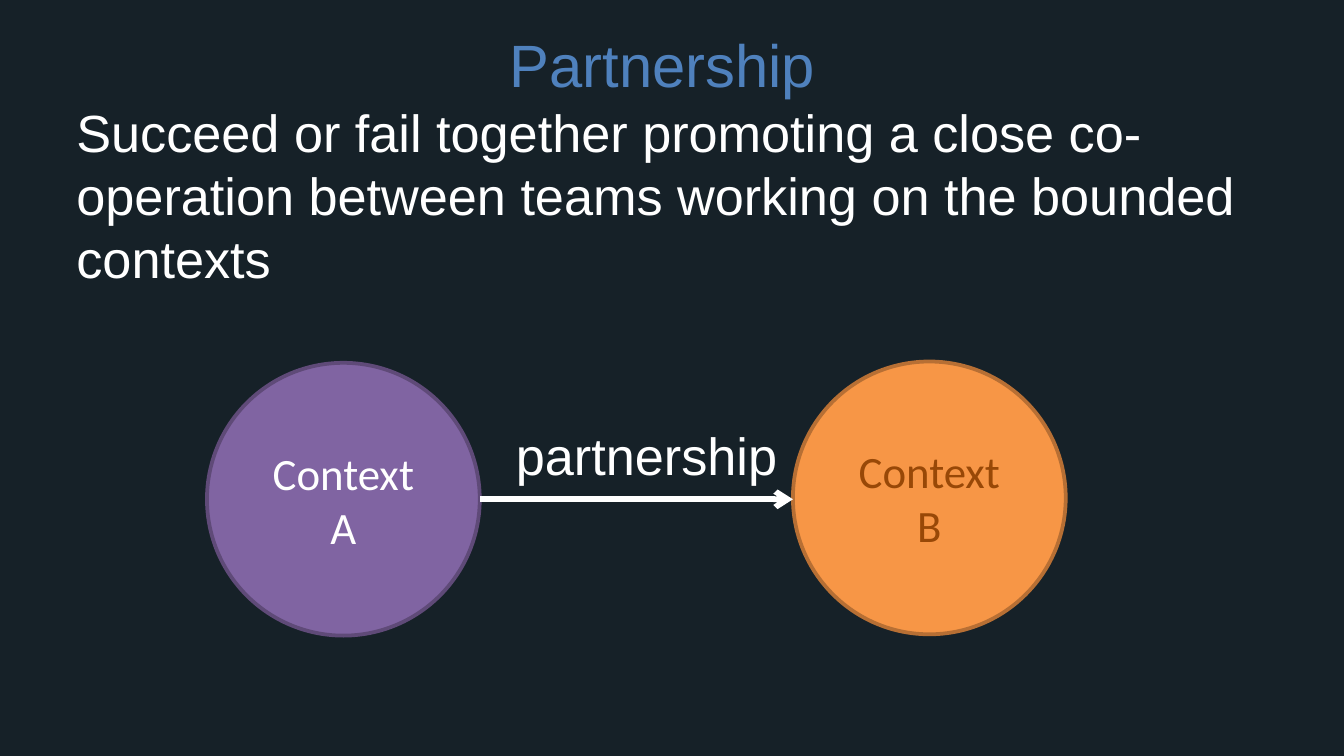
"""Build the Partnership context-mapping slide."""

from dataclasses import dataclass

from lxml.etree import SubElement
from pptx import Presentation
from pptx.dml.color import RGBColor
from pptx.enum.shapes import MSO_CONNECTOR as Connector, MSO_SHAPE as Shape
from pptx.enum.text import MSO_ANCHOR as Anchor, PP_ALIGN as Align
from pptx.oxml.ns import qn
from pptx.slide import Slide
from pptx.text.text import TextFrame
from pptx.util import Inches, Pt


@dataclass(frozen=True)
class Theme:
    """Colours, fonts and type sizes of the slide."""

    background: str = "162128"
    accent: str = "4F81BD"
    light: str = "FFFFFF"
    font: str = "Arial"
    context_font: str = "Calibri"
    title_size: int = 32
    body_size: int = 28
    context_size: int = 24


@dataclass(frozen=True)
class Context:
    """A bounded context drawn as a circle."""

    label: str
    left: float
    top: float
    fill: str
    outline: str
    ink: str


@dataclass(frozen=True)
class Statement:
    """A block of body text."""

    text: str
    left: float
    top: float
    width: float
    height: float


THEME = Theme()
SLIDE_WIDTH = 10
SLIDE_HEIGHT = SLIDE_WIDTH * 9 / 16
DIAMETER = 2.03
CONTEXTS = (
    Context("Context\nA", 1.54, 2.7, "8064A2", "5F4A78", THEME.light),
    Context("Context\nB", 5.9, 2.69, "F79646", "B76F34", "984807"),
)
STATEMENTS = (
    Statement(
        "Succeed or fail together promoting a close co-operation "
        "between teams working on the bounded contexts",
        0.47, 0.7, 9.35, 1.26,
    ),
    Statement("partnership", 3.74, 3.1, 2.49, 0.61),
)


def rgb(value: str) -> RGBColor:
    """Turn a hex string into a colour."""
    return RGBColor.from_string(value)


def write(frame: TextFrame, text: str, font: str, size: int, color: str,
          align: Align, anchor: Anchor = Anchor.TOP) -> None:
    """Fill a text frame and format all its runs."""
    frame.text = text
    frame.word_wrap = True
    frame.vertical_anchor = anchor
    for paragraph in frame.paragraphs:
        paragraph.alignment = align
        for run in paragraph.runs:
            run.font.name = font
            run.font.size = Pt(size)
            run.font.color.rgb = rgb(color)


def draw_title(slide: Slide, text: str) -> None:
    """Place and format the title placeholder."""
    title = slide.shapes.title
    title.left, title.top = Inches(0.12), Inches(0.16)
    title.width, title.height = Inches(9.62), Inches(0.52)
    title.text_frame.margin_bottom = 0
    write(title.text_frame, text, THEME.font, THEME.title_size, THEME.accent, Align.CENTER)


def draw_statement(slide: Slide, statement: Statement) -> None:
    """Draw a block of body text."""
    box = slide.shapes.add_textbox(
        Inches(statement.left), Inches(statement.top),
        Inches(statement.width), Inches(statement.height),
    )
    write(box.text_frame, statement.text, THEME.font, THEME.body_size,
          THEME.light, Align.LEFT)


def draw_context(slide: Slide, context: Context) -> None:
    """Draw a bounded context circle."""
    circle = slide.shapes.add_shape(
        Shape.OVAL, Inches(context.left), Inches(context.top),
        Inches(DIAMETER), Inches(DIAMETER),
    )
    circle.shadow.inherit = False
    circle.fill.solid()
    circle.fill.fore_color.rgb = rgb(context.fill)
    circle.line.color.rgb = rgb(context.outline)
    circle.line.width = Pt(2)
    write(circle.text_frame, context.label, THEME.context_font, THEME.context_size,
          context.ink, Align.CENTER, Anchor.MIDDLE)


def draw_relation(slide: Slide, source: Context, target: Context) -> None:
    """Draw a level arrow from one context to the other."""
    level = Inches(source.top + DIAMETER / 2)
    arrow = slide.shapes.add_connector(
        Connector.STRAIGHT, Inches(source.left + DIAMETER), level,
        Inches(target.left), level,
    )
    arrow.line.color.rgb = rgb(THEME.light)
    arrow.line.width = Pt(3)
    SubElement(arrow.line._get_or_add_ln(), qn("a:tailEnd"), type="arrow")
    SubElement(arrow._element.spPr, qn("a:effectLst"))


def main() -> None:
    """Assemble and save the slide."""
    deck = Presentation()
    deck.slide_width, deck.slide_height = Inches(SLIDE_WIDTH), Inches(SLIDE_HEIGHT)
    slide = deck.slides.add_slide(deck.slide_layouts[5])
    slide.background.fill.solid()
    slide.background.fill.fore_color.rgb = rgb(THEME.background)
    draw_title(slide, "Partnership")
    for statement in STATEMENTS:
        draw_statement(slide, statement)
    for context in CONTEXTS:
        draw_context(slide, context)
    draw_relation(slide, *CONTEXTS)
    deck.save("out.pptx")


if __name__ == "__main__":
    main()
